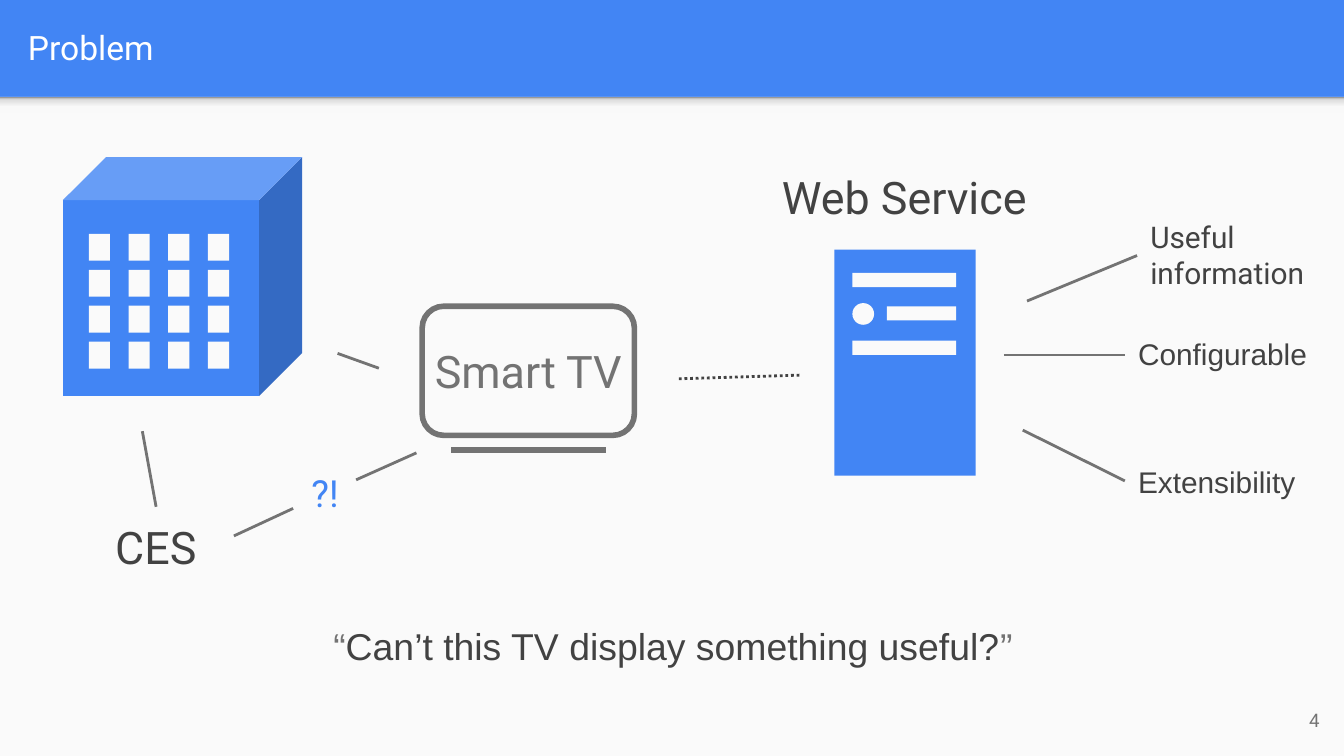
import pptx
import pptx.util
import pptx.dml.color
import pptx.enum.dml
import pptx.enum.shapes
import pptx.enum.text
import pptx.oxml.ns
from lxml import etree

Cm = pptx.util.Cm
Pt = pptx.util.Pt
SHAPE = pptx.enum.shapes.MSO_SHAPE
ALIGN = pptx.enum.text.PP_ALIGN
ANCHOR = pptx.enum.text.MSO_ANCHOR
qn = pptx.oxml.ns.qn

BLUE, PAPER, GREY, DARK = "4285F4", "FAFAFA", "737373", "424242"
FRAME = {
    "word_wrap": True,
    "margin_left": Cm(0.25),
    "margin_right": Cm(0.25),
    "margin_top": Cm(0.25),
    "margin_bottom": Cm(0.25),
}


def rgb(code):
    return pptx.dml.color.RGBColor.from_string(code)


def assign(obj, values):
    for name, value in values.items():
        setattr(obj, name, value)


def add_block(shapes, kind, x, y, w, h, fill=None, line=None):
    sp = shapes.add_shape(kind, Cm(x), Cm(y), Cm(w), Cm(h))
    sp.shadow.inherit = False
    if fill:
        sp.fill.solid()
        sp.fill.fore_color.rgb = rgb(fill)
    else:
        sp.fill.background()
    if line:
        sp.line.color.rgb = rgb(line)
        sp.line.width = Pt(3)
    else:
        sp.line.fill.background()
    return sp


def add_line(shapes, x1, y1, x2, y2, color=GREY, width=1.5):
    sp = shapes.add_connector(
        pptx.enum.shapes.MSO_CONNECTOR.STRAIGHT, Cm(x1), Cm(y1), Cm(x2), Cm(y2)
    )
    sp.line.color.rgb = rgb(color)
    sp.line.width = Pt(width)
    etree.SubElement(sp._element.spPr, qn("a:effectLst"))
    return sp


def add_text(shapes, box, runs, size, font="Roboto", align=ALIGN.LEFT, anchor=ANCHOR.TOP):
    tf = shapes.add_textbox(*map(Cm, box)).text_frame
    assign(tf, {**FRAME, "vertical_anchor": anchor})
    p = tf.paragraphs[0]
    p.alignment = align
    for text, color in runs:
        r = p.add_run()
        r.text = text
        assign(r.font, {"size": Pt(size), "name": font})
        r.font.color.rgb = rgb(color)


def draw_header(s, x, y, w, h):
    s.background.fill.solid()
    s.background.fill.fore_color.rgb = rgb(BLUE)
    add_block(s.shapes, SHAPE.RECTANGLE, x, y + 1.83, w, h - 1.83, PAPER)
    sp = add_block(s.shapes, SHAPE.RECTANGLE, x, y + 1.83, w, 0.3, PAPER)
    sp.fill.gradient()
    sp.fill.gradient_angle = 90
    stops = sp._element.spPr.find(".//" + qn("a:gsLst"))
    stops.clear()
    for pos, color in ((0, "F9F9F9"), (36, "F9F9F9"), (80, "DEDEDE"), (100, "999999")):
        gs = etree.SubElement(stops, qn("a:gs"), pos=str(pos * 1000))
        etree.SubElement(gs, qn("a:srgbClr"), val=color)
    add_text(s.shapes, (x + 0.28, y + 0.05, 24.51, 1.68), [("Problem", "FFFFFF")], 18,
             anchor=ANCHOR.MIDDLE)


def draw_building(s, x, y, w, h):
    shapes = s.shapes.add_group_shape().shapes
    cube = add_block(shapes, SHAPE.CUBE, x, y, w, h, BLUE)
    cube.adjustments[0] = 0.18
    for row in range(4):
        for col in range(4):
            add_block(shapes, SHAPE.RECTANGLE, x + 0.49 + 0.75 * col,
                      y + 1.45 + 0.68 * row, 0.4, 0.51, PAPER)


def draw_tv(s, x, y, w, h):
    shapes = s.shapes.add_group_shape().shapes
    add_block(shapes, SHAPE.ROUNDED_RECTANGLE, x, y, w, h, line=GREY)
    add_line(shapes, x + 0.55, y + 2.72, x + w - 0.53, y + 2.72, width=3)
    add_text(shapes, (x - 0.26, y + 0.46, w + 0.52, 1.55), [("Smart TV", GREY)], 24,
             align=ALIGN.CENTER)


def draw_server(s, x, y, w, h):
    shapes = s.shapes.add_group_shape().shapes
    add_block(shapes, SHAPE.RECTANGLE, x, y, w, h, BLUE)
    for dx, dy, bar in ((0.34, 0.44, 1.96), (0.99, 1.07, 1.31), (0.34, 1.72, 1.96)):
        add_block(shapes, SHAPE.RECTANGLE, x + dx, y + dy, bar, 0.27, PAPER)
    add_block(shapes, SHAPE.OVAL, x + 0.34, y + 1.01, 0.41, 0.41, PAPER)
    add_text(s.shapes, (x - 1.5, y - 1.77, 5.64, 1.55), [("Web Service", DARK)], 24,
             align=ALIGN.CENTER)


def draw_features(s, x, y):
    for ends, box, text, font in (
        ((0.44, 1.8, 2.52, 0.94), (2.52, 0, 3.68, 1.88), "Useful information", "Roboto"),
        ((0, 2.82, 2.29, 2.82), (2.29, 2.21, 4.01, 1.19), "Configurable", "Arial"),
        ((0.36, 4.24, 2.29, 5.2), (2.29, 4.62, 3.68, 1.19), "Extensibility", "Arial"),
    ):
        x1, y1, x2, y2 = ends
        add_line(s.shapes, x + x1, y + y1, x + x2, y + y2)
        left, top, width, height = box
        add_text(s.shapes, (x + left, y + top, width, height), [(text, DARK)], 16, font)


def draw_event(s, x, y):
    add_line(s.shapes, x + 0.99, y, x + 1.25, y + 1.43)
    add_text(s.shapes, (x, y + 1.43, 2.49, 1.55), [("CES", DARK)], 24, align=ALIGN.CENTER)
    add_line(s.shapes, x + 4.68, y - 1.47, x + 5.46, y - 1.19)
    shapes = s.shapes.add_group_shape().shapes
    add_text(shapes, (x + 3.63, y + 0.49, 1.63, 1.37), [("?!", BLUE)], 20,
             align=ALIGN.CENTER)
    add_line(shapes, x + 6.17, y + 0.41, x + 5.03, y + 0.92)
    add_line(shapes, x + 3.84, y + 1.46, x + 2.72, y + 1.98)


def draw_footer(s, x, y):
    quote = [("“", GREY), ("Can’t this TV display something useful?", DARK), ("”", GREY)]
    add_text(s.shapes, (x, y, 13.87, 1.37), quote, 20, "Arial")
    add_text(s.shapes, (x + 17.62, y + 1.53, 1.52, 1.09), [("4", GREY)], 10,
             align=ALIGN.RIGHT, anchor=ANCHOR.MIDDLE)


def main():
    prs = pptx.Presentation()
    assign(prs, {"slide_width": Cm(25.4), "slide_height": Cm(14.29)})
    s = prs.slides.add_slide(prs.slide_layouts[6])
    draw_header(s, 0, 0, 25.4, 14.29)
    draw_server(s, 15.77, 4.72, 2.67, 4.27)
    draw_building(s, 1.19, 2.97, 4.52, 4.52)
    draw_event(s, 1.7, 8.15)
    draw_tv(s, 7.98, 5.79, 4.01, 2.44)
    draw_features(s, 18.97, 3.89)
    link = add_line(s.shapes, 12.83, 7.16, 15.14, 7.09, DARK)
    link.line.dash_style = pptx.enum.dml.MSO_LINE.ROUND_DOT
    draw_footer(s, 6.05, 11.53)
    prs.save("out.pptx")


if __name__ == "__main__":
    main()
